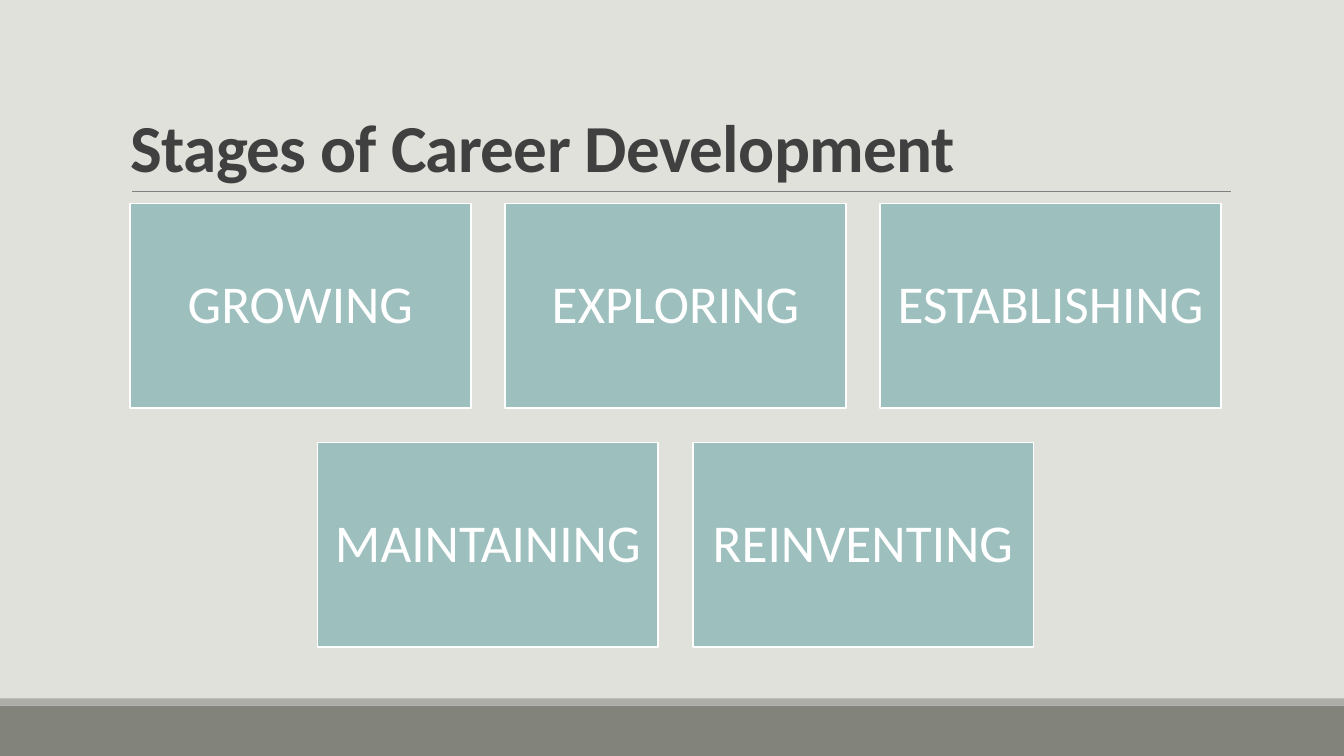
from lxml import etree
from pptx import Presentation
from pptx.dml.color import RGBColor
from pptx.enum.shapes import MSO_CONNECTOR, MSO_SHAPE
from pptx.enum.text import MSO_ANCHOR, PP_ALIGN
from pptx.oxml.ns import qn
from pptx.util import Inches, Pt

# Content
TITLE = "Stages of Career Development"
STAGE_ROWS = [
    ["GROWING", "EXPLORING", "ESTABLISHING"],
    ["MAINTAINING", "REINVENTING"],
]
FOOTER_BANDS = [(7, 0.5, "82847C"), (6.93, 0.07, "ACADA8")]  # top, height, colour

# Layout in inches
SLIDE_W, SLIDE_H = 13.33, 7.5
BOX_W, BOX_H, GAP = 3.38, 2.03, 0.34
GRID_CENTER, GRID_TOP = 6.7, 2.02

prs = Presentation()
prs.slide_width, prs.slide_height = Inches(SLIDE_W), Inches(SLIDE_H)
slide = prs.slides.add_slide(prs.slide_layouts[6])


def rgb(hex_color):
    return RGBColor.from_string(hex_color)


def add_box(left, top, width, height, fill, line=None):
    box = slide.shapes.add_shape(MSO_SHAPE.RECTANGLE, *map(Inches, (left, top, width, height)))
    box.shadow.inherit = False
    box.fill.solid()
    box.fill.fore_color.rgb = rgb(fill)
    if line:
        box.line.color.rgb = rgb(line)
        box.line.width = Pt(1.25)
    else:
        box.line.fill.background()
    return box


def write(shape, text, size, color, anchor, align, spacing, bold=False):
    frame = shape.text_frame
    frame.word_wrap = True
    frame.vertical_anchor = anchor
    paragraph = frame.paragraphs[0]
    paragraph.alignment = align
    paragraph.line_spacing = spacing
    run = paragraph.add_run()
    run.text = text
    run.font.name = "Calibri"
    run.font.size = Pt(size)
    run.font.bold = bold
    run.font.color.rgb = rgb(color)
    return run


# Background and footer bands
slide.background.fill.solid()
slide.background.fill.fore_color.rgb = rgb("E1E1DB")
for top, height, color in FOOTER_BANDS:
    add_box(0, top, SLIDE_W, height, color)

# Rule under the title
rule = slide.shapes.add_connector(
    MSO_CONNECTOR.STRAIGHT, Inches(1.31), Inches(1.9), Inches(12.21), Inches(1.9))
rule.line.color.rgb = rgb("808080")
rule.line.width = Pt(0.5)
etree.SubElement(rule._element.spPr, qn("a:effectLst"))

# Title
title = slide.shapes.add_textbox(Inches(1.2), Inches(0.31), Inches(11), Inches(1.59))
title_run = write(title, TITLE, 48, "404040", MSO_ANCHOR.BOTTOM, PP_ALIGN.LEFT, 0.85, bold=True)
title_run.font._element.set("spc", "-50")  # hundredths of a point

# Stage boxes, each row centred
for row, stages in enumerate(STAGE_ROWS):
    row_width = len(stages) * (BOX_W + GAP) - GAP
    for column, stage in enumerate(stages):
        left = GRID_CENTER - row_width / 2 + column * (BOX_W + GAP)
        box = add_box(left, GRID_TOP + row * (BOX_H + GAP), BOX_W, BOX_H, "9DBFBE", "FFFFFF")
        frame = box.text_frame
        frame.margin_left = frame.margin_right = Inches(0.16)
        frame.margin_top = frame.margin_bottom = Inches(0.16)
        write(box, stage, 38, "FFFFFF", MSO_ANCHOR.MIDDLE, PP_ALIGN.CENTER, 0.9)

prs.save("out.pptx")
